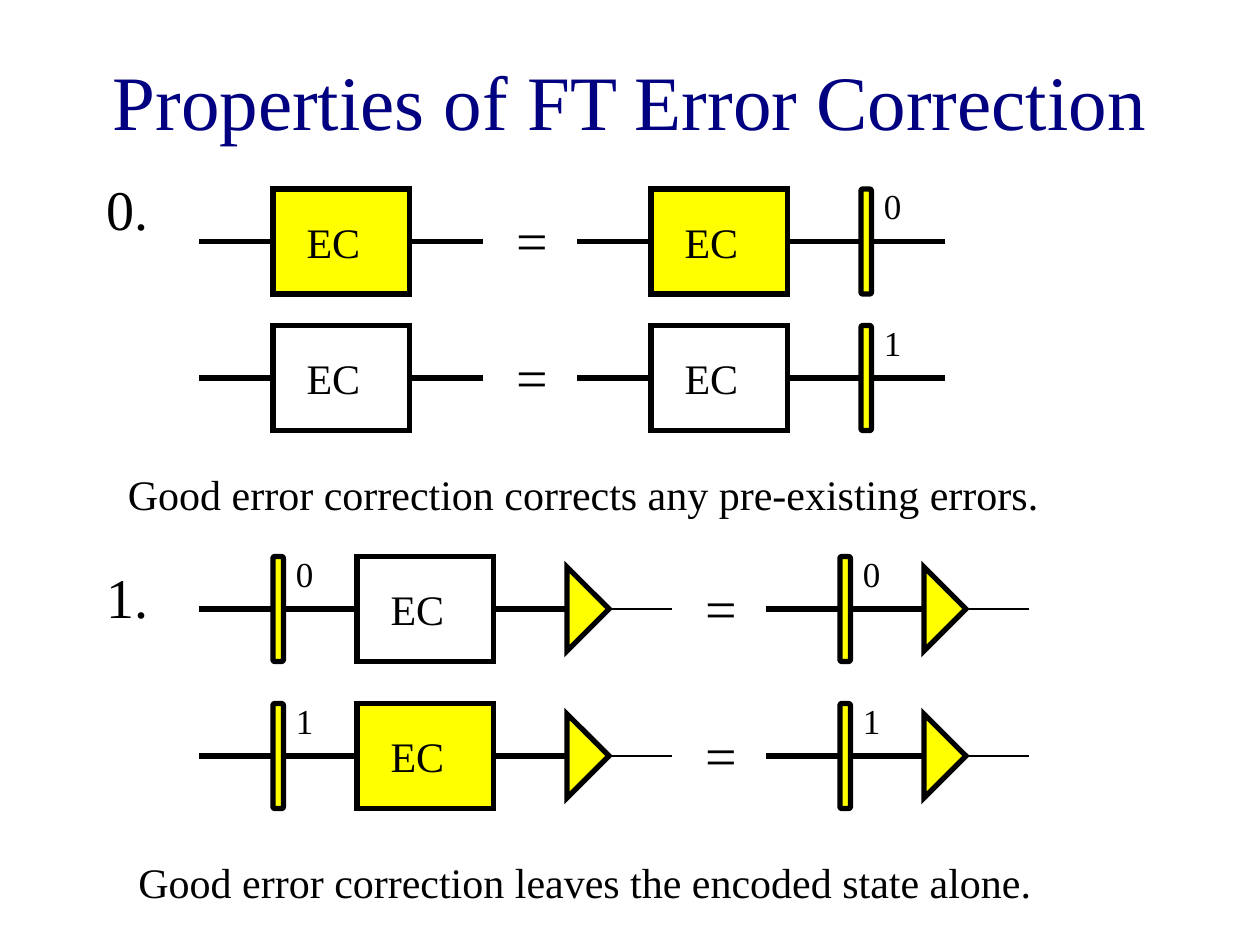
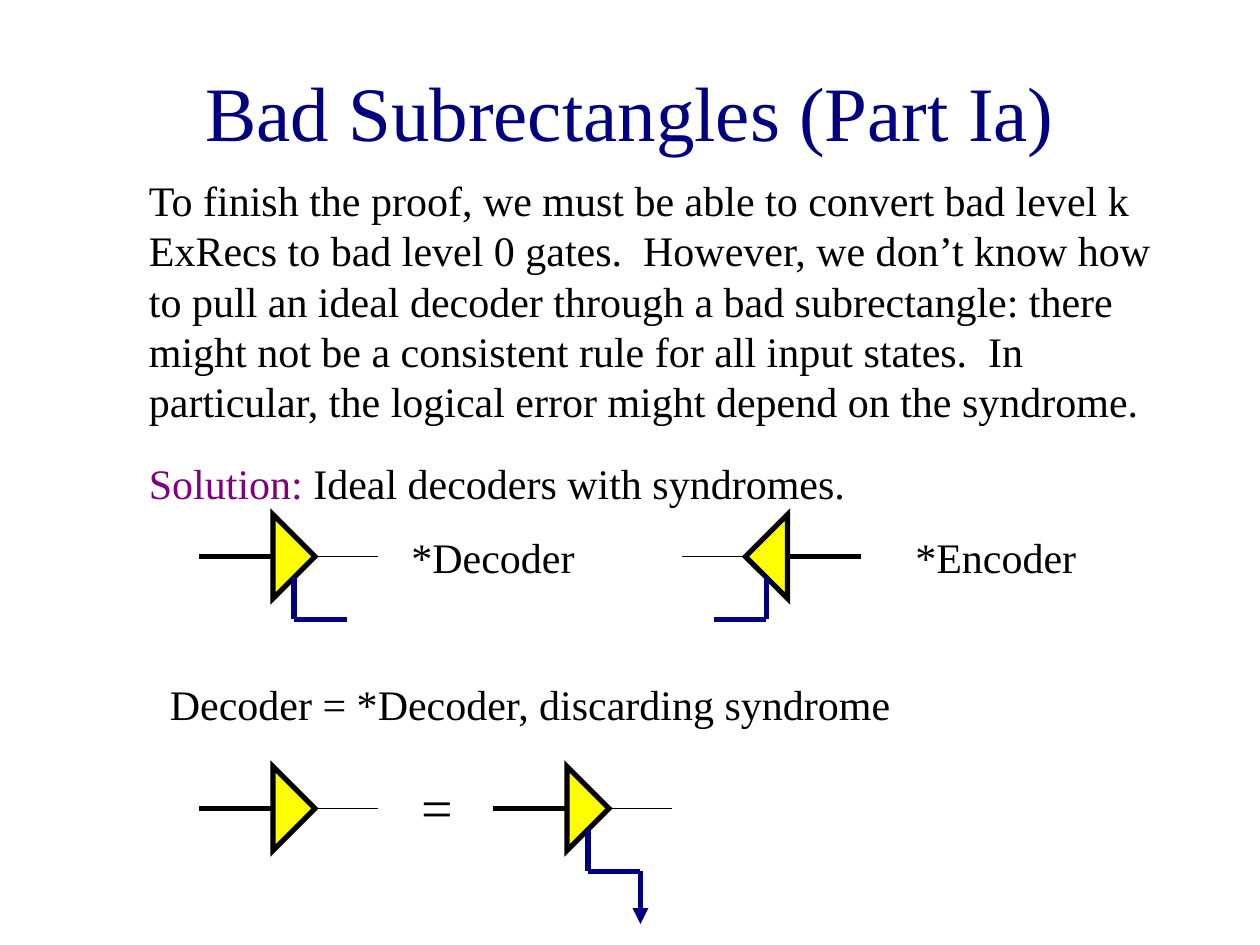
from lxml.etree import SubElement
from pptx import Presentation
from pptx.dml.color import RGBColor
from pptx.enum.shapes import MSO_CONNECTOR as Connector, MSO_SHAPE as Shape
from pptx.enum.text import MSO_ANCHOR as Anchor, MSO_AUTO_SIZE as AutoSize, PP_ALIGN as Align
from pptx.oxml.ns import qn
from pptx.util import Pt

BLACK = RGBColor(0x00, 0x00, 0x00)
NAVY = RGBColor(0x00, 0x00, 0x80)
PURPLE = RGBColor(0x80, 0x00, 0x80)
YELLOW = RGBColor(0xFF, 0xFF, 0x00)
FONT = "Times New Roman"

LEFT, RIGHT = 1, 3
TITLE_ONLY = 5
THICK, THIN = 3, 1
WIRE, THIN_WIRE = 42, 36
BOX_WIDTH, BAR_WIDTH, GATE_HEIGHT = 78, 6, 60
TRIANGLE_BASE, TRIANGLE_DEPTH = 48, 24


def write(paragraph, text, size=24, colour=BLACK):
    run = paragraph.add_run()
    run.text = text
    run.font.name = FONT
    run.font.size = Pt(size)
    run.font.color.rgb = colour


class Deck:
    def __init__(self):
        self.presentation = Presentation()
        self.presentation.slide_width = Pt(720)
        self.presentation.slide_height = Pt(540)
        self.slide = None

    def new_slide(self, title, left, top, width):
        self.slide = self.presentation.slides.add_slide(self.presentation.slide_layouts[TITLE_ONLY])
        shape = self.slide.shapes.title
        shape.left, shape.top, shape.width, shape.height = Pt(left), Pt(top), Pt(width), Pt(90)
        frame = shape.text_frame
        frame.auto_size = AutoSize.NONE
        frame.vertical_anchor = Anchor.MIDDLE
        paragraph = frame.paragraphs[0]
        paragraph.alignment = Align.CENTER
        write(paragraph, title, size=44, colour=NAVY)

    def text(self, left, top, width, height, *runs, size=24):
        shape = self.slide.shapes.add_textbox(Pt(left), Pt(top), Pt(width), Pt(height))
        shape.text_frame.word_wrap = True
        for text, colour in runs:
            write(shape.text_frame.paragraphs[0], text, size=size, colour=colour)

    def label(self, text, left, top, width, height=36, size=24):
        self.text(left, top, width, height, (text, BLACK), size=size)

    def equals(self, left, y, width=42):
        self.label("=", left, y - 24, width, 46, size=32)

    def outlined(self, kind, left, top, width, height, fill=YELLOW, sharp=True):
        shape = self.slide.shapes.add_shape(kind, Pt(left), Pt(top), Pt(width), Pt(height))
        shape.shadow.inherit = False
        if fill is None:
            shape.fill.background()
        else:
            shape.fill.solid()
            shape.fill.fore_color.rgb = fill
        shape.line.color.rgb = BLACK
        shape.line.width = Pt(THICK)
        join = SubElement(shape.line._get_or_add_ln(), qn("a:miter" if sharp else "a:round"))
        if sharp:
            join.set("lim", "800000")
        return shape

    def line(self, x1, y1, x2, y2, colour=BLACK, width=THICK, source=None, target=None, arrow=False):
        connector = self.slide.shapes.add_connector(
            Connector.STRAIGHT, Pt(x1), Pt(y1), Pt(x2), Pt(y2))
        connector.line.color.rgb = colour
        connector.line.width = Pt(width)
        if arrow:
            SubElement(connector.line._get_or_add_ln(), qn("a:tailEnd")).set("type", "triangle")
        SubElement(connector._element.spPr, qn("a:effectLst"))
        if source is not None:
            connector.begin_connect(source, RIGHT)
        if target is not None:
            connector.end_connect(target, LEFT)

    def correction_box(self, left, y, fill):
        shape = self.outlined(Shape.RECTANGLE, left, y - GATE_HEIGHT / 2, BOX_WIDTH, GATE_HEIGHT, fill)
        frame = shape.text_frame
        frame.margin_left = Pt(19.2)
        frame.margin_right = 0
        frame.vertical_anchor = Anchor.MIDDLE
        frame.paragraphs[0].alignment = Align.LEFT
        write(frame.paragraphs[0], "EC")
        return shape

    def filter_bar(self, left, y, number):
        shape = self.outlined(Shape.ROUNDED_RECTANGLE, left, y - GATE_HEIGHT / 2,
                              BAR_WIDTH, GATE_HEIGHT, sharp=False)
        shape.adjustments[0] = 0.17
        self.label(number, left + BAR_WIDTH, y - 36, 24, 32, size=20)
        return shape

    def wired_box(self, left, y, fill):
        box = self.correction_box(left, y, fill)
        self.line(left - WIRE, y, left, y, target=box)
        return box

    def wired_bar(self, left, y, number):
        bar = self.filter_bar(left, y, number)
        self.line(left - WIRE, y, left, y, target=bar)
        return bar

    def decoder(self, base, y, direction=1, source=None, syndrome=False):
        tip = base + direction * TRIANGLE_DEPTH
        middle = (base + tip) / 2
        self.line(base - direction * WIRE, y, base, y, source=source)
        triangle = self.outlined(Shape.ISOSCELES_TRIANGLE, middle - TRIANGLE_BASE / 2,
                                 y - TRIANGLE_DEPTH / 2, TRIANGLE_BASE, TRIANGLE_DEPTH)
        triangle.rotation = 90 if direction > 0 else 270
        self.line(tip, y, tip + direction * THIN_WIRE, y, width=THIN)
        if syndrome:
            self.line(middle, y + 12, middle, y + 36, colour=NAVY)
            self.line(base + direction * 42, y + 36, middle, y + 36, colour=NAVY)


def build_properties(deck):
    deck.new_slide("Properties of FT Error Correction", 54, 12, 612)

    deck.label("0.", 54, 96, 48, 46, size=32)
    for y, number, fill in ((138, "0", YELLOW), (216, "1", None)):
        box = deck.wired_box(156, y, fill)
        deck.line(234, y, 276, y, source=box)
        deck.equals(288, y)
        box = deck.wired_box(372, y, fill)
        bar = deck.filter_bar(492, y, number)
        deck.line(450, y, 492, y, source=box, target=bar)
        deck.line(498, y, 540, y, source=bar)
    deck.label("Good error correction corrects any pre-existing errors.", 66, 264, 558)

    deck.label("1.", 54, 318, 42, 46, size=32)
    for y, number, fill in ((348, "0", None), (432, "1", YELLOW)):
        bar = deck.wired_bar(156, y, number)
        box = deck.correction_box(204, y, fill)
        deck.line(162, y, 204, y, source=bar, target=box)
        deck.decoder(324, y, source=box)
        deck.equals(396, y)
        bar = deck.wired_bar(480, y, number)
        deck.decoder(528, y, source=bar)
    deck.label("Good error correction leaves the encoded state alone.", 72, 486, 540)


def build_subrectangles(deck):
    deck.new_slide("Bad Subrectangles (Part Ia)", 42, 18, 636)
    deck.label("To finish the proof, we must be able to convert bad level k ExRecs to bad level 0 gates.  "
               "However, we don’t know how to pull an ideal decoder through a bad subrectangle: "
               "there might not be a consistent rule for all input states.  In particular, "
               "the logical error might depend on the syndrome.", 78, 96, 588, 151)
    deck.text(78, 258, 438, 36, ("Solution:", PURPLE), (" Ideal decoders with syndromes.", BLACK))

    deck.decoder(156, 318, syndrome=True)
    deck.label("*Decoder", 228, 300, 132)
    deck.decoder(450, 318, direction=-1, syndrome=True)
    deck.label("*Encoder", 516, 300, 114)

    deck.label("Decoder = *Decoder, discarding syndrome", 90, 384, 456)
    deck.decoder(156, 462)
    deck.equals(234, 462, width=54)
    deck.decoder(324, 462, syndrome=True)
    deck.line(366, 498, 366, 528, colour=NAVY, arrow=True)


def main():
    deck = Deck()
    build_properties(deck)
    build_subrectangles(deck)
    deck.presentation.save("out.pptx")


if __name__ == "__main__":
    main()
